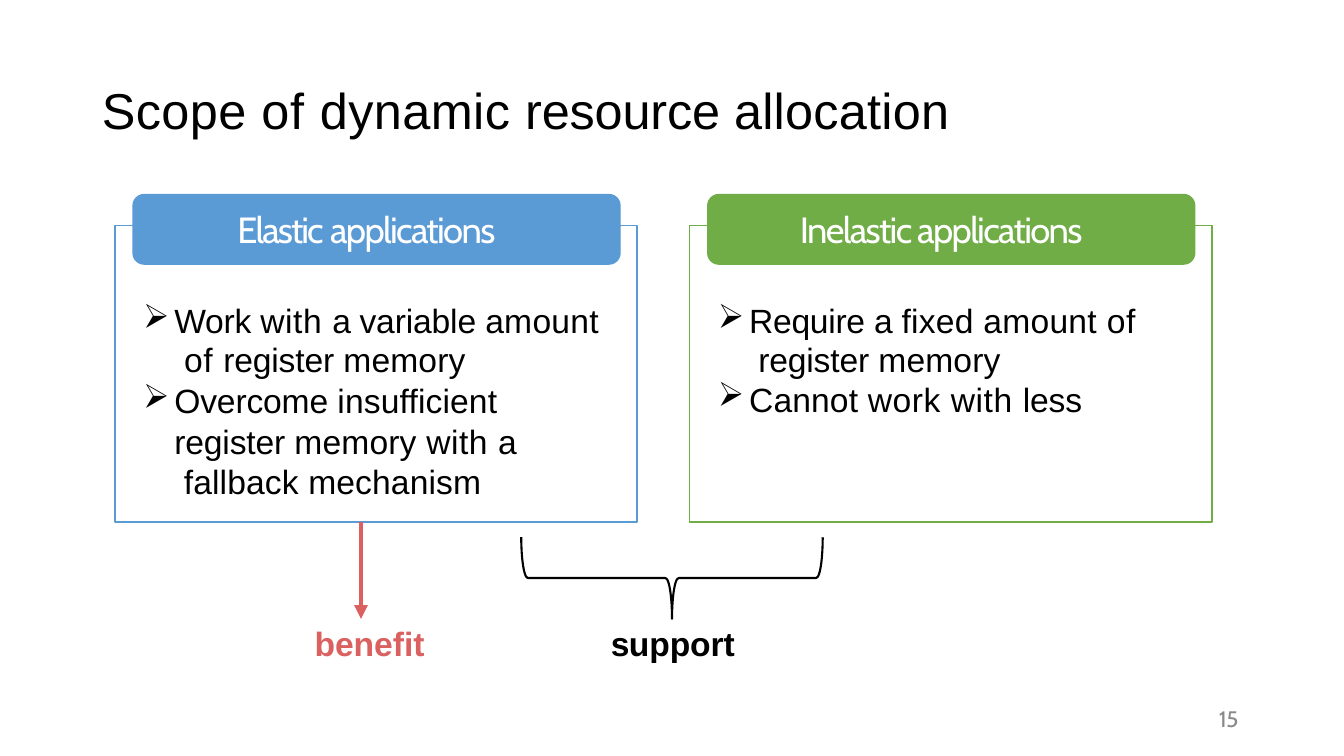
from lxml.etree import SubElement
from pptx import Presentation
from pptx.dml.color import RGBColor
from pptx.enum.shapes import MSO_CONNECTOR, MSO_SHAPE
from pptx.enum.text import MSO_ANCHOR, MSO_AUTO_SIZE, PP_ALIGN
from pptx.oxml.ns import qn
from pptx.util import Inches, Pt

COLORS = {"black": "000000", "white": "FFFFFF", "blue": "5B9BD5",
          "green": "70AD46", "red": "DA615F", "gray": "898989"}


def color(name):
    return RGBColor.from_string(COLORS[name])


def write(para, spans, size, tint="black", font="Arial", bold=False):
    for text, spacing in spans:
        if text.startswith("\n"):
            para.add_line_break()
        span = para.add_run()
        span.text = text.lstrip("\n")
        span.font.size = Pt(size)
        span.font.name = font
        span.font.bold = bold
        span.font.color.rgb = color(tint)
        span._r.get_or_add_rPr().set("spc", str(round(spacing * 100)))


deck = Presentation()
deck.slide_width = Inches(13.33)
deck.slide_height = Inches(7.5)
page = deck.slides.add_slide(deck.slide_layouts[5])

title = page.shapes.title
title.left, title.top = Inches(1), Inches(0.77)
title.width, title.height = Inches(8.45), Inches(0.63)
frame = title.text_frame
frame.margin_left = frame.margin_right = frame.margin_bottom = 0
frame.margin_top = Inches(0.01)
frame.vertical_anchor = MSO_ANCHOR.TOP
frame.auto_size = MSO_AUTO_SIZE.NONE
para = frame.paragraphs[0]
para.alignment = PP_ALIGN.LEFT
para.space_before = Pt(1)
para._p.get_or_add_pPr().set("marL", str(Inches(0.01)))
write(para, [("Scope ", 0.3), ("of ", 0.6), ("dynamic ", 0.3),
             ("resource ", -0.1), ("allocation", 0.2)], 36)

panels = [
    ("blue", [("Elastic ", -1.4), ("applications", -1.2)], 4.56, 2.02, [
        (27.8, 2.8, [("Work ", -0.2), ("with ", 0.4), ("a ", -0.5), ("variable ", -0.1),
                     ("amount", 0.2), ("\n of ", 0.4), ("register ", -0.1), ("memory", 0.1)]),
        (29, 0.3, [("Overcome ", -0.1), ("insufficient ", 0.1), ("register ", -0.1),
                   ("memory ", 0.1), ("with ", 0.4), ("a", -0.5),
                   ("\n fallback mechanism", 0.1)]),
    ]),
    ("green", [("Inelastic applications", -1.2)], 4.18, 1.22, [
        (27.8, 2.8, [("Require ", -0.2), ("a ", -0.5), ("fixed amount ", 0.2), ("of", 0.4),
                     ("\n register ", -0.1), ("memory", 0.1)]),
        (28.3, 0, [("Cannot ", 0.1), ("work with ", 0.4), ("less", -0.1)]),
    ]),
]
for index, (tint, heading, width, height, points) in enumerate(panels):
    shift = index * 5.7
    panel = page.shapes.add_shape(MSO_SHAPE.RECTANGLE, Inches(1.14 + shift), Inches(2.24),
                                  Inches(5.18), Inches(2.94))
    panel.fill.background()
    header = page.shapes.add_shape(MSO_SHAPE.ROUNDED_RECTANGLE, Inches(1.32 + shift),
                                   Inches(1.93), Inches(4.83), Inches(0.69))
    header.adjustments[0] = 0.16
    header.fill.solid()
    header.fill.fore_color.rgb = color(tint)
    for shape in (panel, header):
        shape.shadow.inherit = False
        shape.line.color.rgb = color(tint)
        shape.line.width = Pt(1)

    frame = header.text_frame
    frame.margin_left = frame.margin_top = frame.margin_bottom = 0
    frame.margin_right = Inches(0.2)
    frame.vertical_anchor = MSO_ANCHOR.MIDDLE
    frame.paragraphs[0].alignment = PP_ALIGN.CENTER
    write(frame.paragraphs[0], heading, 26, "white", "Cabin")

    box = page.shapes.add_textbox(Inches(1.4 + shift), Inches(2.95),
                                  Inches(width), Inches(height))
    frame = box.text_frame
    frame.word_wrap = True
    frame.margin_left = frame.margin_right = frame.margin_bottom = 0
    frame.margin_top = Inches(0.04)
    for number, (leading, before, spans) in enumerate(points):
        para = frame.add_paragraph() if number else frame.paragraphs[0]
        para.line_spacing = Pt(leading)
        para.space_before = Pt(before)
        properties = para._p.get_or_add_pPr()
        properties.set("marL", str(Inches(0.33)))
        properties.set("indent", str(Inches(-0.31)))
        SubElement(properties, qn("a:buChar")).set("char", "➢")
        write(para, spans, 24)

brace = page.shapes.add_shape(MSO_SHAPE.RIGHT_BRACE, Inches(6.26), Inches(4.24),
                              Inches(0.81), Inches(2.99))
brace.rotation = 90
brace.adjustments[0] = 0.08
brace.shadow.inherit = False
brace.fill.background()
brace.line.color.rgb = color("black")
brace.line.width = Pt(1.5)

arrow = page.shapes.add_connector(MSO_CONNECTOR.STRAIGHT, Inches(3.58), Inches(5.18),
                                  Inches(3.58), Inches(6.14))
arrow.line.color.rgb = color("red")
arrow.line.width = Pt(3.25)
SubElement(arrow.line._get_or_add_ln(), qn("a:tailEnd")).set("type", "triangle")
SubElement(arrow._element.spPr, qn("a:effectLst"))

labels = [
    (6.05, 6.18, 1.26, 0.43, 0.01, 1, [("su", -0.5), ("ppor", -0.1), ("t", 0.5)],
     24, "black", "Arial", True),
    (3.11, 6.18, 1.13, 0.43, 0.01, 1, [("benefit", 0)], 24, "red", "Arial", True),
    (12.05, 7, 0.31, 0.3, 0.04, 0.2, [("15", -0.3)], 16, "gray", "Cabin", False),
]
for left, top, width, height, indent, before, spans, size, tint, font, bold in labels:
    box = page.shapes.add_textbox(Inches(left), Inches(top), Inches(width), Inches(height))
    frame = box.text_frame
    frame.word_wrap = True
    frame.margin_left = Inches(indent)
    frame.margin_top = frame.margin_right = frame.margin_bottom = 0
    para = frame.paragraphs[0]
    para.space_before = Pt(before)
    write(para, spans, size, tint, font, bold)

deck.save("out.pptx")
